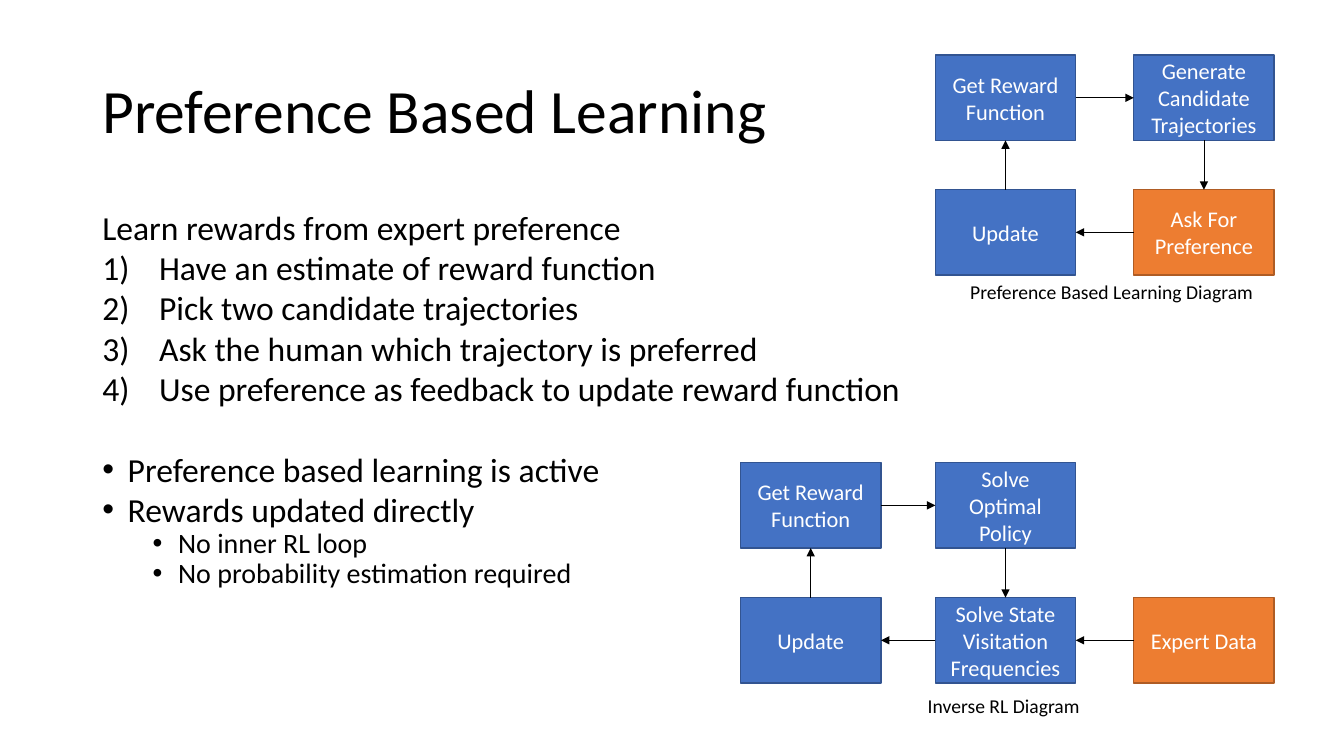
from dataclasses import dataclass

import lxml.etree
import pptx
import pptx.dml.color
import pptx.enum.shapes
import pptx.enum.text
import pptx.oxml.ns
import pptx.util
from pptx.util import Cm, Pt

FONT = "Calibri"
BLACK, WHITE = "000000", "FFFFFF"
BLUE, BLUE_EDGE = "4472C4", "325491"
ORANGE, ORANGE_EDGE = "ED7D31", "AF5C24"

BOX_WIDTH, BOX_HEIGHT = 3.54, 2.15
COLUMNS = (18.66, 23.57, 28.57)
ROWS = (1.39, 4.78, 11.66, 15.06)
TOP, LEFT, BOTTOM, RIGHT = range(4)


@dataclass
class Step:
    name: str
    text: str
    column: int
    row: int
    fill: str = BLUE
    edge: str = BLUE_EDGE


@dataclass
class Arrow:
    start: str
    start_side: int
    end: str
    end_side: int


@dataclass
class Line:
    text: str
    bullet: str = ""
    level: int = 0
    size: int = 24
    indent: float = 0
    hanging: float = 0
    spacing: float = 1.0
    before: int = 0


@dataclass
class Label:
    left: float
    top: float
    width: float
    height: float
    lines: list[Line]
    anchor: pptx.enum.text.MSO_ANCHOR = pptx.enum.text.MSO_ANCHOR.TOP


def numbered(text: str) -> Line:
    return Line(text, "number", indent=1.43, hanging=1.43)


def bulleted(text: str, before: int = 0) -> Line:
    return Line(text, "dot", indent=0.64, hanging=0.64, before=before)


def sub_bulleted(text: str) -> Line:
    return Line(text, "dot", level=1, size=20, indent=1.91, hanging=0.64, spacing=0.9)


STEPS = [
    Step("preference reward", "Get Reward Function", 1, 0),
    Step("candidates", "Generate Candidate Trajectories", 2, 0),
    Step("ask", "Ask For Preference", 2, 1, ORANGE, ORANGE_EDGE),
    Step("preference update", "Update", 1, 1),
    Step("inverse reward", "Get Reward Function", 0, 2),
    Step("policy", "Solve Optimal Policy", 1, 2),
    Step("visitation", "Solve State Visitation Frequencies", 1, 3),
    Step("inverse update", "Update", 0, 3),
    Step("expert", "Expert Data", 2, 3, ORANGE, ORANGE_EDGE),
]

ARROWS = [
    Arrow("preference reward", RIGHT, "candidates", LEFT),
    Arrow("candidates", BOTTOM, "ask", TOP),
    Arrow("ask", LEFT, "preference update", RIGHT),
    Arrow("preference update", TOP, "preference reward", BOTTOM),
    Arrow("inverse reward", RIGHT, "policy", LEFT),
    Arrow("policy", BOTTOM, "visitation", TOP),
    Arrow("visitation", LEFT, "inverse update", RIGHT),
    Arrow("inverse update", TOP, "inverse reward", BOTTOM),
    Arrow("expert", LEFT, "visitation", RIGHT),
]

LABELS = [
    Label(2.33, 1.01, 29.21, 3.68,
          [Line("Preference Based Learning", size=44, spacing=0.9)],
          pptx.enum.text.MSO_ANCHOR.MIDDLE),
    Label(2.33, 5.08, 29.21, 12.09, [
        Line("Learn rewards from expert preference"),
        numbered("Have an estimate of reward function"),
        numbered("Pick two candidate trajectories"),
        numbered("Ask the human which trajectory is preferred"),
        numbered("Use preference as feedback to update reward function"),
        bulleted("Preference based learning is active", before=29),
        bulleted("Rewards updated directly"),
        sub_bulleted("No inner RL loop"),
        sub_bulleted("No probability estimation required"),
    ]),
    Label(24.2, 6.93, 7.87, 0.86, [Line("Preference Based Learning Diagram", size=14)]),
    Label(23.13, 17.37, 10.18, 0.86, [Line("Inverse RL Diagram", size=14)]),
]


def color(value: str) -> pptx.dml.color.RGBColor:
    return pptx.dml.color.RGBColor.from_string(value)


def style_font(paragraph, size: int, value: str) -> None:
    paragraph.font.name = FONT
    paragraph.font.size = Pt(size)
    paragraph.font.color.rgb = color(value)


def add_bullet(paragraph, line: Line) -> None:
    properties = paragraph._p.get_or_add_pPr()
    properties.set("marL", str(Cm(line.indent)))
    properties.set("indent", str(-Cm(line.hanging)))
    qualified = pptx.oxml.ns.qn
    if line.bullet == "number":
        lxml.etree.SubElement(properties, qualified("a:buAutoNum"), type="arabicParenR")
    else:
        lxml.etree.SubElement(properties, qualified("a:buFont"), typeface="Arial")
        lxml.etree.SubElement(properties, qualified("a:buChar"), char="•")


def add_label(slide, label: Label) -> None:
    shape = slide.shapes.add_textbox(
        Cm(label.left), Cm(label.top), Cm(label.width), Cm(label.height))
    frame = shape.text_frame
    frame.word_wrap = True
    frame.vertical_anchor = label.anchor
    for index, line in enumerate(label.lines):
        paragraph = frame.add_paragraph() if index else frame.paragraphs[0]
        paragraph.text = line.text
        paragraph.level = line.level
        if line.bullet:
            add_bullet(paragraph, line)
        paragraph.line_spacing = line.spacing
        if line.before:
            paragraph.space_before = Pt(line.before)
        style_font(paragraph, line.size, BLACK)


def add_step(slide, step: Step):
    shape = slide.shapes.add_shape(
        pptx.enum.shapes.MSO_SHAPE.RECTANGLE,
        Cm(COLUMNS[step.column]), Cm(ROWS[step.row]), Cm(BOX_WIDTH), Cm(BOX_HEIGHT))
    shape.shadow.inherit = False
    shape.fill.solid()
    shape.fill.fore_color.rgb = color(step.fill)
    shape.line.color.rgb = color(step.edge)
    shape.line.width = Pt(1)
    shape.text_frame.word_wrap = True
    shape.text_frame.vertical_anchor = pptx.enum.text.MSO_ANCHOR.MIDDLE
    paragraph = shape.text_frame.paragraphs[0]
    paragraph.text = step.text
    paragraph.alignment = pptx.enum.text.PP_ALIGN.CENTER
    style_font(paragraph, 16, WHITE)
    return shape


def add_arrow(slide, arrow: Arrow, boxes: dict) -> None:
    connector = slide.shapes.add_connector(
        pptx.enum.shapes.MSO_CONNECTOR.STRAIGHT, 0, 0, 0, 0)
    connector.begin_connect(boxes[arrow.start], arrow.start_side)
    connector.end_connect(boxes[arrow.end], arrow.end_side)
    connector.line.color.rgb = color(BLACK)
    connector.line.width = Pt(0.5)
    qualified = pptx.oxml.ns.qn
    lxml.etree.SubElement(
        connector.line._get_or_add_ln(), qualified("a:tailEnd"), type="triangle")
    lxml.etree.SubElement(connector._element.spPr, qualified("a:effectLst"))


def main() -> None:
    presentation = pptx.Presentation()
    presentation.slide_width = Cm(33.87)
    presentation.slide_height = Cm(19.05)
    slide = presentation.slides.add_slide(presentation.slide_layouts[6])
    for label in LABELS:
        add_label(slide, label)
    boxes = {step.name: add_step(slide, step) for step in STEPS}
    for arrow in ARROWS:
        add_arrow(slide, arrow, boxes)
    presentation.save("out.pptx")


if __name__ == "__main__":
    main()
